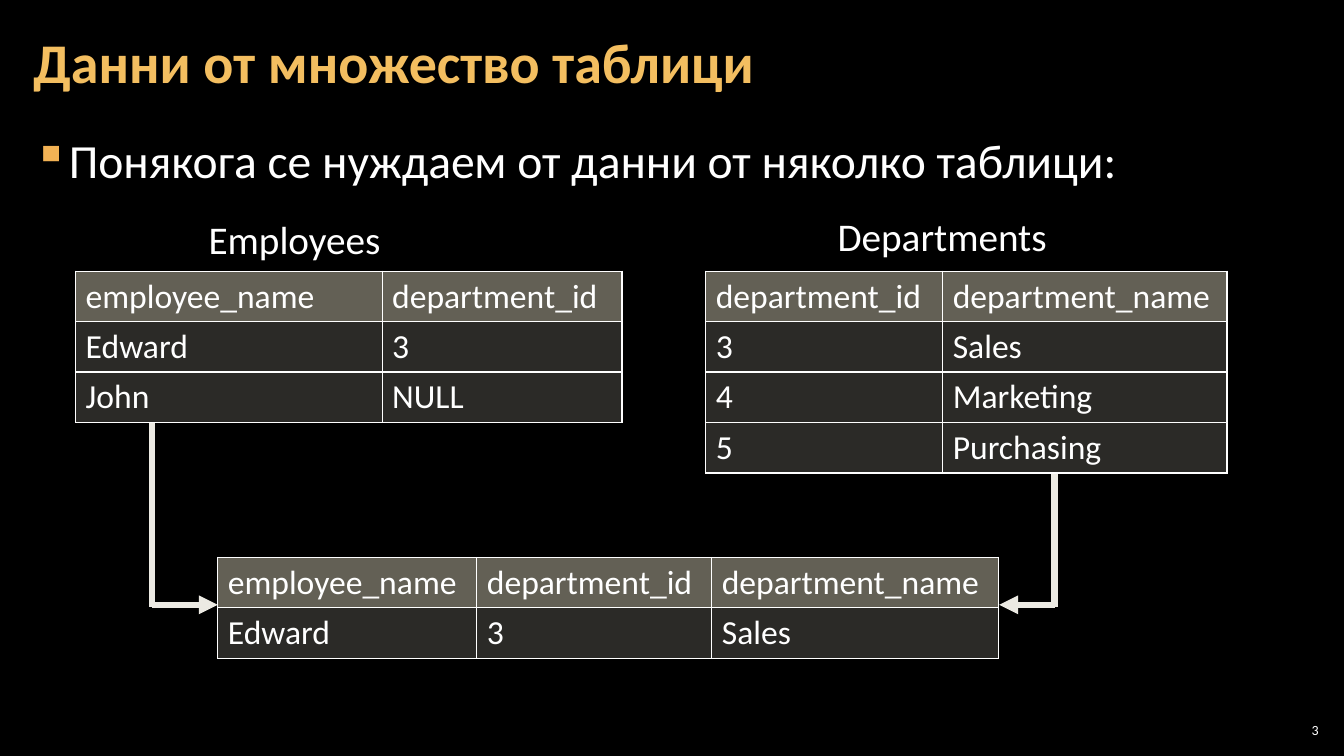
from lxml import etree
from pptx import Presentation
from pptx.dml.color import RGBColor
from pptx.enum.shapes import MSO_CONNECTOR
from pptx.enum.text import MSO_ANCHOR, PP_ALIGN
from pptx.oxml.ns import qn
from pptx.util import Inches, Pt

STRAIGHT = MSO_CONNECTOR.STRAIGHT
TOP, MIDDLE = MSO_ANCHOR.TOP, MSO_ANCHOR.MIDDLE
LEFT, RIGHT = PP_ALIGN.LEFT, PP_ALIGN.RIGHT

FONT = "Calibri"
BLACK, WHITE = "000000", "FFFFFF"
GOLD, BULLET_GOLD, ARROW = "F3BE60", "F2B254", "ECEAE3"
HEADER_FILL, ROW_FILL = ("C6C0AA", 50), ("D9D5C7", 20)
ROW_HEIGHT = 0.5
WIDE_INSETS = (0.12, 0.04, 0.12, 0.04)


def rgb(hex_color):
    return RGBColor.from_string(hex_color)


def set_all(target, formats):
    for name, value in formats.items():
        setattr(target, name, value)


def add_run(paragraph, text, size, color=WHITE, bold=False):
    run = paragraph.add_run()
    run.text = text
    set_all(run.font, {"name": FONT, "size": Pt(size), "bold": bold})
    run.font.color.rgb = rgb(color)


def add_text(slide, box, text, size, color=WHITE, bold=False, anchor=TOP,
             insets=(0.1, 0.05, 0.1, 0.05), wrap=True, align=LEFT):
    frame = slide.shapes.add_textbox(*map(Inches, box)).text_frame
    left, top, right, bottom = map(Inches, insets)
    set_all(frame, {"word_wrap": wrap, "vertical_anchor": anchor,
                    "margin_left": left, "margin_top": top,
                    "margin_right": right, "margin_bottom": bottom})
    paragraph = frame.paragraphs[0]
    paragraph.alignment = align
    add_run(paragraph, text, size, color, bold)
    return paragraph


def add_bullet(paragraph, symbol, color, indent):
    properties = paragraph._p.get_or_add_pPr()
    properties.set("marL", str(Inches(indent)))
    properties.set("indent", str(-Inches(indent)))
    bullet_color = etree.SubElement(properties, qn("a:buClr"))
    etree.SubElement(bullet_color, qn("a:srgbClr"), val=color)
    etree.SubElement(properties, qn("a:buChar"), char=symbol)


def add_borders(cell, color, width):
    properties = cell._tc.get_or_add_tcPr()
    for side in ("lnL", "lnR", "lnT", "lnB"):
        border = etree.SubElement(properties, qn("a:" + side), w=str(Pt(width)))
        fill = etree.SubElement(border, qn("a:solidFill"))
        etree.SubElement(fill, qn("a:srgbClr"), val=color)


def fill_cell(cell, color, opacity):
    cell.fill.solid()
    cell.fill.fore_color.rgb = rgb(color)
    tint = cell._tc.tcPr.find(".//" + qn("a:solidFill") + "[last()]")
    tint = cell._tc.tcPr.findall(qn("a:solidFill"))[0][0]
    etree.SubElement(tint, qn("a:alpha"), val=str(opacity * 1000))


def add_data_table(slide, left, top, widths, rows):
    table = slide.shapes.add_table(
        len(rows), len(widths), Inches(left), Inches(top),
        Inches(sum(widths)), Inches(ROW_HEIGHT * len(rows))).table
    table.horz_banding = False
    for column, width in zip(table.columns, widths):
        column.width = Inches(width)
    for r, values in enumerate(rows):
        table.rows[r].height = Inches(ROW_HEIGHT)
        for c, value in enumerate(values):
            cell = table.cell(r, c)
            add_borders(cell, WHITE, 1)
            fill_cell(cell, *(ROW_FILL if r else HEADER_FILL))
            add_run(cell.text_frame.paragraphs[0], value, 24)


def add_line(slide, start, end, arrow=False):
    connector = slide.shapes.add_connector(
        STRAIGHT, *map(Inches, (*start, *end)))
    connector.line.width = Pt(4.5)
    connector.line.color.rgb = rgb(ARROW)
    if arrow:
        etree.SubElement(connector.line._ln, qn("a:tailEnd"), type="triangle")
    etree.SubElement(connector._element.spPr, qn("a:effectLst"))


def add_bent_arrow(slide, x, top, bottom, tip):
    add_line(slide, (x, top), (x, bottom + 0.02))
    add_line(slide, (x, bottom), (tip, bottom), arrow=True)


def main():
    deck = Presentation()
    set_all(deck, {"slide_width": Inches(13.33), "slide_height": Inches(7.5)})
    slide = deck.slides.add_slide(deck.slide_layouts[6])
    slide.background.fill.solid()
    slide.background.fill.fore_color.rgb = rgb(BLACK)

    # Arrows from the source tables to the joined one
    add_bent_arrow(slide, 10.46, 4.69, 6, 9.91)
    add_bent_arrow(slide, 1.51, 4.19, 6, 2.16)

    # Title and statement
    title = add_text(slide, (0.21, 0.04, 12.91, 1.21),
                     "Данни от множество таблици", 40, GOLD, bold=True,
                     anchor=MIDDLE, insets=WIDE_INSETS)
    title.line_spacing = 0.9
    statement = add_text(slide, (0.21, 1.26, 12.91, 6.09),
                         "Понякога се нуждаем от данни от няколко таблици:",
                         34, insets=WIDE_INSETS)
    add_bullet(statement, "▪", BULLET_GOLD, 0.33)
    statement.space_after = Pt(6)

    # Source tables with captions
    add_text(slide, (1.97, 2.09, 1.92, 0.57), "Employees", 28, wrap=False)
    add_data_table(slide, 0.75, 2.69, (3.04, 2.38), [
        ("employee_name", "department_id"),
        ("Edward", "3"),
        ("John", "NULL")])
    add_text(slide, (8.21, 2.06, 2.3, 0.57), "Departments", 28, wrap=False)
    add_data_table(slide, 7, 2.69, (2.35, 2.82), [
        ("department_id", "department_name"),
        ("3", "Sales"),
        ("4", "Marketing"),
        ("5", "Purchasing")])

    # Joined table
    add_data_table(slide, 2.16, 5.53, (2.57, 2.33, 2.84), [
        ("employee_name", "department_id", "department_name"),
        ("Edward", "3", "Sales")])

    # Slide number
    add_text(slide, (12.65, 7.14, 0.47, 0.21), "3", 10, anchor=MIDDLE,
             insets=(0.04,) * 4, align=RIGHT)

    deck.save("out.pptx")


if __name__ == "__main__":
    main()
